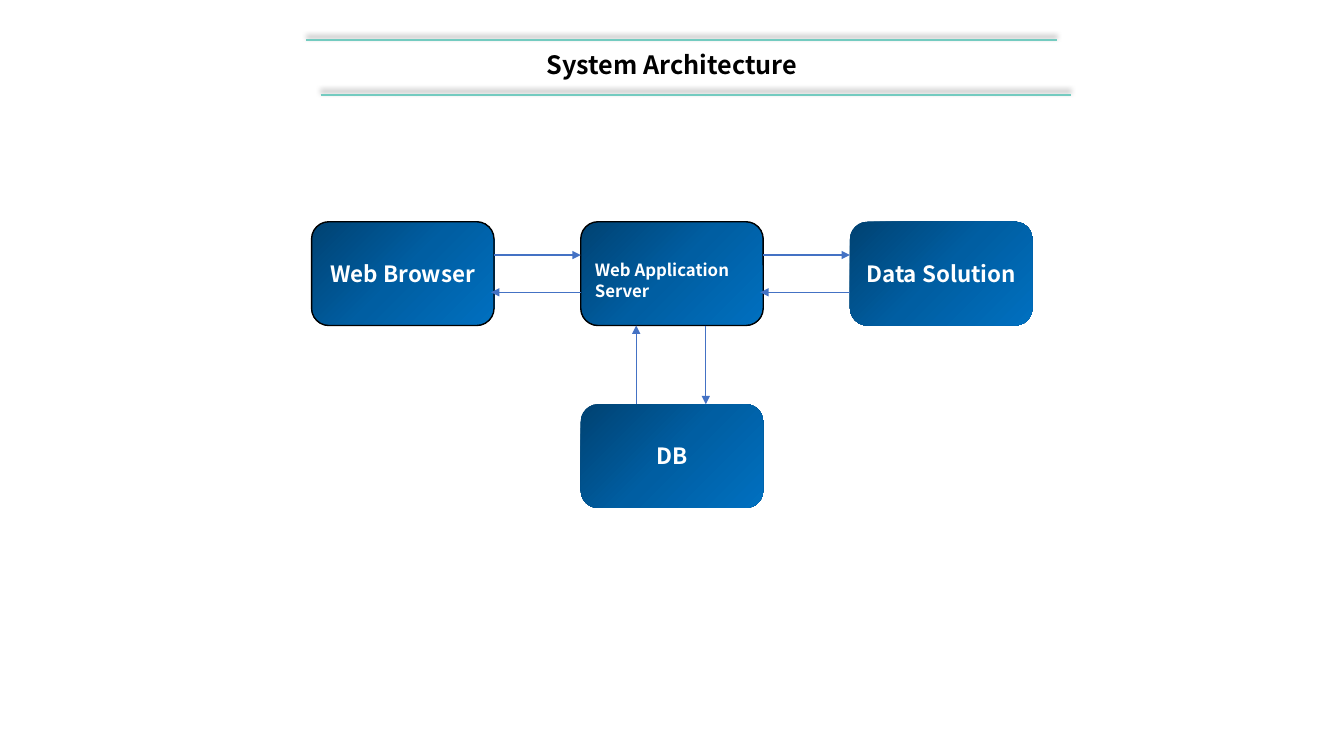
from copy import deepcopy
from dataclasses import dataclass

from lxml import etree
from pptx import Presentation
from pptx.dml.color import RGBColor
from pptx.enum.shapes import MSO_CONNECTOR, MSO_SHAPE
from pptx.enum.text import MSO_ANCHOR, PP_ALIGN
from pptx.oxml.ns import qn
from pptx.util import Inches, Pt

STRAIGHT = MSO_CONNECTOR.STRAIGHT
ROUNDED = MSO_SHAPE.ROUNDED_RECTANGLE
MIDDLE = MSO_ANCHOR.MIDDLE
CENTER, LEFT = PP_ALIGN.CENTER, PP_ALIGN.LEFT


@dataclass(frozen=True)
class Theme:
    font: str = "Noto Sans CJK KR"
    title_size: int = 18
    label_size: int = 16
    small_size: int = 12
    black: str = "000000"
    white: str = "FFFFFF"
    rule: str = "74CBC0"
    arrow: str = "4472C4"
    gradient: tuple = ((0, "004272"), (0.5, "005EA2"), (1, "0070C0"))


@dataclass(frozen=True)
class Node:
    text: str
    left: float
    top: float
    outlined: bool = False
    size: int = 16
    align: PP_ALIGN = CENTER
    margins: tuple = (0.05, 0.05, 0.05, 0.05)  # left, top, right, bottom


@dataclass(frozen=True)
class Line:
    x1: float
    y1: float
    x2: float
    y2: float


THEME = Theme()
SLIDE_WIDTH, SLIDE_HEIGHT = 13.33, 7.5
NODE_WIDTH, NODE_HEIGHT = 1.81, 1.03
COLUMNS = [3.09 + 2.67 * index for index in range(3)]
ROWS = [2.2, 4.01]
REQUEST_Y, REPLY_Y = 2.53, 2.9
QUERY_X, RESULT_X = 7, 6.31
REPLY_OVERLAP = 0.03

NODES = [
    Node("Web Browser", COLUMNS[0], ROWS[0], outlined=True),
    Node("Web Application Server", COLUMNS[1], ROWS[0], outlined=True,
         size=THEME.small_size, align=LEFT, margins=(0.09, 0.18, 0, 0.05)),
    Node("Data Solution", COLUMNS[2], ROWS[0]),
    Node("DB", COLUMNS[1], ROWS[1]),
]
RULES = [Line(3.04, 0.4, 10.48, 0.4), Line(3.18, 0.94, 10.62, 0.94)]


def style_text(frame, text: str, size: int, color: str, align: PP_ALIGN) -> None:
    frame.word_wrap = True
    frame.vertical_anchor = MIDDLE
    para = frame.paragraphs[0]
    para.alignment = align
    span = para.add_run()
    span.text = text
    span.font.name = THEME.font
    span.font.size = Pt(size)
    span.font.bold = True
    span.font.color.rgb = RGBColor.from_string(color)


def add_title(page) -> None:
    title = page.shapes.title
    title.left, title.top = Inches(0), Inches(0.44)
    title.width, title.height = Inches(SLIDE_WIDTH), Inches(0.4)
    style_text(title.text_frame, "System Architecture", THEME.title_size, THEME.black, CENTER)


def add_line(page, line: Line, color: str, width: float):
    connector = page.shapes.add_connector(
        STRAIGHT, Inches(line.x1), Inches(line.y1), Inches(line.x2), Inches(line.y2))
    connector.line.color.rgb = RGBColor.from_string(color)
    connector.line.width = Pt(width)
    effects = etree.SubElement(connector._element.spPr, qn("a:effectLst"))
    return connector, effects


def add_rule(page, rule: Line) -> None:
    _, effects = add_line(page, rule, THEME.rule, 1.5)
    shadow = etree.SubElement(effects, qn("a:outerShdw"), blurRad=str(Pt(4)),
                              dist=str(Pt(3)), dir="16200000", rotWithShape="0")
    color = etree.SubElement(shadow, qn("a:srgbClr"), val=THEME.black)
    etree.SubElement(color, qn("a:alpha"), val="40000")


def add_arrow(page, arrow: Line) -> None:
    connector, _ = add_line(page, arrow, THEME.arrow, 1)
    outline = connector._element.spPr.find(qn("a:ln"))
    etree.SubElement(outline, qn("a:tailEnd"), type="triangle")


def fill_gradient(shape) -> None:
    shape.fill.gradient()
    shape.fill.gradient_angle = 315
    stop_list = shape._element.spPr.find(".//" + qn("a:gsLst"))
    stop_list.append(deepcopy(stop_list[0]))
    for stop, (position, color) in zip(shape.fill.gradient_stops, THEME.gradient):
        stop.position = position
        stop.color.rgb = RGBColor.from_string(color)


def add_node(page, node: Node) -> None:
    box = page.shapes.add_shape(ROUNDED, Inches(node.left), Inches(node.top),
                                Inches(NODE_WIDTH), Inches(NODE_HEIGHT))
    box.shadow.inherit = False
    fill_gradient(box)
    if node.outlined:
        box.line.color.rgb = RGBColor.from_string(THEME.black)
        box.line.width = Pt(1)
    else:
        box.line.fill.background()
    frame = box.text_frame
    (frame.margin_left, frame.margin_top,
     frame.margin_right, frame.margin_bottom) = map(Inches, node.margins)
    style_text(frame, node.text, node.size, THEME.white, node.align)


def make_arrows() -> list[Line]:
    arrows = []
    # A request and a reply between neighbouring columns
    for left, right in zip(COLUMNS, COLUMNS[1:]):
        edge = left + NODE_WIDTH
        arrows.append(Line(edge, REQUEST_Y, right, REQUEST_Y))
        arrows.append(Line(right, REPLY_Y, edge - REPLY_OVERLAP, REPLY_Y))
    # A query and its result between server and database
    server_bottom = ROWS[0] + NODE_HEIGHT
    arrows.append(Line(QUERY_X, server_bottom, QUERY_X, ROWS[1]))
    arrows.append(Line(RESULT_X, ROWS[1], RESULT_X, server_bottom))
    return arrows


def main() -> None:
    deck = Presentation()
    deck.slide_width, deck.slide_height = Inches(SLIDE_WIDTH), Inches(SLIDE_HEIGHT)
    page = deck.slides.add_slide(deck.slide_layouts[5])

    # Heading
    for rule in RULES:
        add_rule(page, rule)
    add_title(page)

    # Architecture diagram
    for node in NODES:
        add_node(page, node)
    for arrow in make_arrows():
        add_arrow(page, arrow)

    deck.save("out.pptx")


if __name__ == "__main__":
    main()
